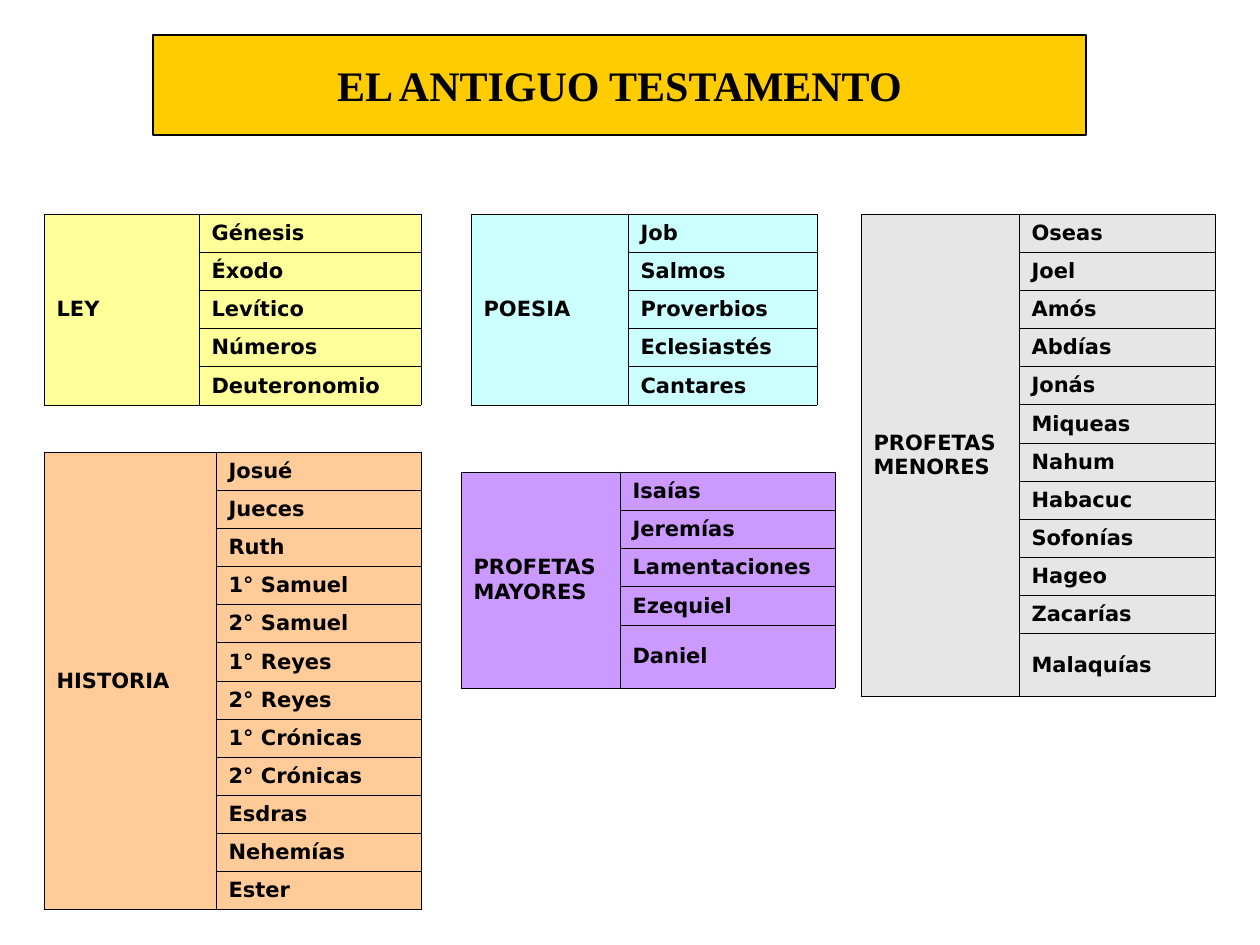
from lxml import etree
from pptx import Presentation
from pptx.dml import color
from pptx.enum import shapes, text
from pptx.oxml import ns
from pptx.util import Pt

EMU_PER_PX = 914400 / 126
COLORS = {
    "ink": "000000",
    "title": "FFCC00",
    "law": "FFFF99",
    "history": "FFCC99",
    "poetry": "CCFFFF",
    "major": "CC99FF",
    "minor": "E6E6E6",
}
GROUPS = [
    ("LEY", "law", (44, 214, 377, 191), 155, None,
     ["Génesis", "Éxodo", "Levítico", "Números", "Deuteronomio"]),
    ("HISTORIA", "history", (44, 452, 377, 458), 172, None,
     ["Josué", "Jueces", "Ruth", "1° Samuel", "2° Samuel", "1° Reyes",
      "2° Reyes", "1° Crónicas", "2° Crónicas", "Esdras", "Nehemías", "Ester"]),
    ("POESIA", "poetry", (471, 214, 346, 191), 157, None,
     ["Job", "Salmos", "Proverbios", "Eclesiastés", "Cantares"]),
    ("PROFETAS MAYORES", "major", (461, 472, 374, 216), 159, 63,
     ["Isaías", "Jeremías", "Lamentaciones", "Ezequiel", "Daniel"]),
    ("PROFETAS MENORES", "minor", (861, 214, 354, 483), 158, 63,
     ["Oseas", "Joel", "Amós", "Abdías", "Jonás", "Miqueas", "Nahum",
      "Habacuc", "Sofonías", "Hageo", "Zacarías", "Malaquías"]),
]


def px(length):
    return round(length * EMU_PER_PX)


def rgb(name):
    return color.RGBColor.from_string(COLORS[name])


def style_paragraph(paragraph, font_name, size):
    font = paragraph.font
    font.name, font.size, font.bold = font_name, Pt(size), True
    font.color.rgb = rgb("ink")


def add_borders(cell):
    properties = cell._tc.get_or_add_tcPr()
    for index, side in enumerate(("lnL", "lnR", "lnT", "lnB")):
        line = etree.Element(ns.qn(f"a:{side}"), w=str(Pt(0.45)))
        fill = etree.SubElement(line, ns.qn("a:solidFill"))
        etree.SubElement(fill, ns.qn("a:srgbClr"), val=COLORS["ink"])
        properties.insert(index, line)


def add_title(page, box, wording):
    banner = page.shapes.add_shape(shapes.MSO_SHAPE.RECTANGLE, *map(px, box))
    banner.shadow.inherit = False
    banner.fill.solid()
    banner.fill.fore_color.rgb = rgb("title")
    banner.line.color.rgb = rgb("ink")
    banner.line.width = Pt(0.75)
    frame = banner.text_frame
    frame.word_wrap = False
    frame.vertical_anchor = text.MSO_ANCHOR.MIDDLE
    paragraph = frame.paragraphs[0]
    paragraph.text = wording
    paragraph.alignment = text.PP_ALIGN.CENTER
    style_paragraph(paragraph, "Times New Roman", 24)


def add_group(page, heading, fill, box, heading_width, last_height, books):
    width, height = box[2:]
    count = len(books)
    last_height = last_height or height / count
    row_height = (height - last_height) / (count - 1)

    table = page.shapes.add_table(count, 2, *map(px, box)).table
    table.first_row = table.horz_banding = False
    table.columns[0].width = px(heading_width)
    table.columns[1].width = px(width - heading_width)
    for row in table.rows:
        row.height = px(row_height)
    table.rows[count - 1].height = px(last_height)

    table.cell(0, 0).text = heading
    for index, book in enumerate(books):
        table.cell(index, 1).text = book
    for cell in table.iter_cells():
        cell.fill.solid()
        cell.fill.fore_color.rgb = rgb(fill)
        cell.vertical_anchor = text.MSO_ANCHOR.MIDDLE
        add_borders(cell)
        style_paragraph(cell.text_frame.paragraphs[0], "DejaVu Sans", 12)
    table.cell(0, 0).merge(table.cell(count - 1, 0))


def main():
    deck = Presentation()
    deck.slide_width, deck.slide_height = px(1260), px(945)
    page = deck.slides.add_slide(deck.slide_layouts[6])
    add_title(page, (153, 35, 933, 100), "EL ANTIGUO TESTAMENTO")
    for group in GROUPS:
        add_group(page, *group)
    deck.save("out.pptx")


if __name__ == "__main__":
    main()
